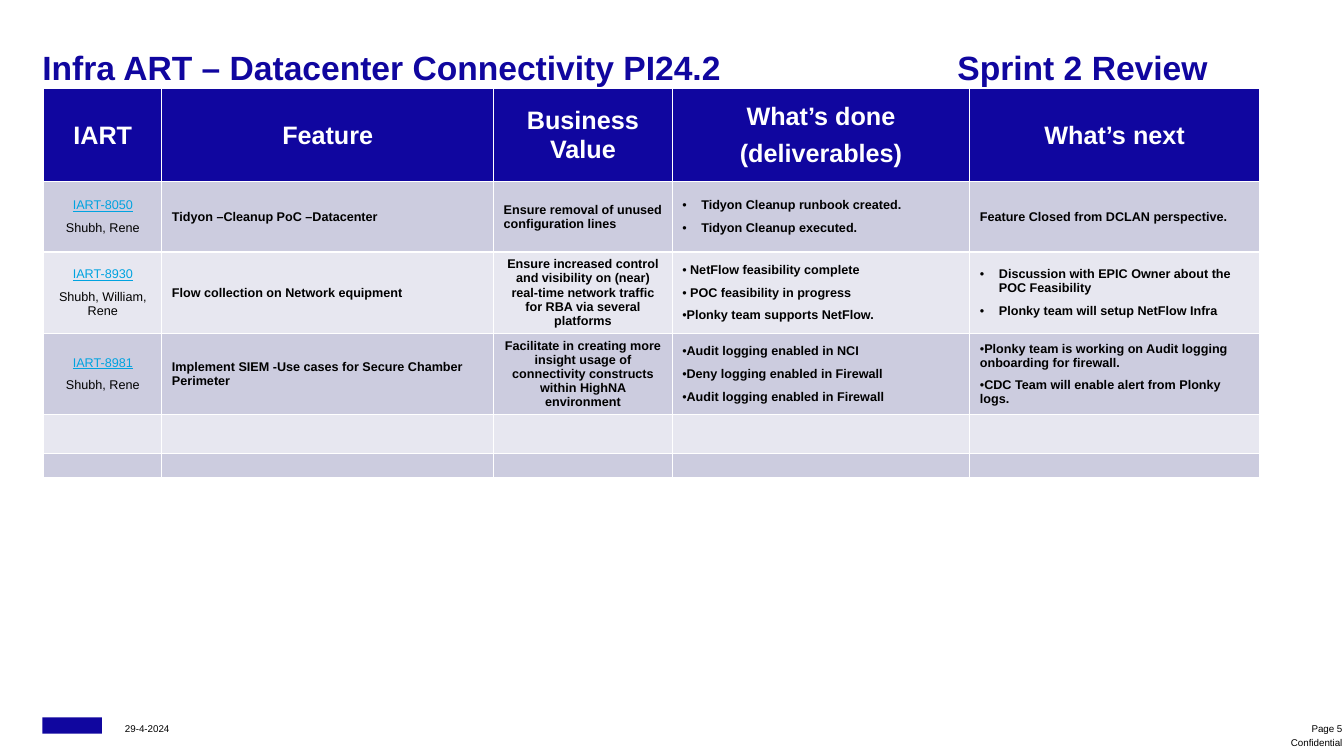
import pptx
import pptx.util
import pptx.dml.color
import pptx.enum.shapes
import pptx.enum.text
import pptx.oxml.xmlchemy
from lxml import etree

Cm, Pt = pptx.util.Cm, pptx.util.Pt
RGBColor = pptx.dml.color.RGBColor
ALIGN = pptx.enum.text.PP_ALIGN
ANCHOR = pptx.enum.text.MSO_ANCHOR
NAVY = RGBColor(0x10, 0x06, 0x9F)
LINK_BLUE = RGBColor(0x00, 0xA3, 0xE0)
BAND_DARK = RGBColor(0xCC, 0xCC, 0xDF)
BAND_LIGHT = RGBColor(0xE7, 0xE7, 0xF0)
WHITE = RGBColor(0xFF, 0xFF, 0xFF)
BLACK = RGBColor(0x00, 0x00, 0x00)
DRAWING_NS = "{http://schemas.openxmlformats.org/drawingml/2006/main}"


def write(paragraph, text, size, color, bold=False, align=ALIGN.LEFT):
    paragraph.text = text
    paragraph.alignment = align
    for run in paragraph.runs:
        run.font.name = "Arial"
        run.font.size = Pt(size)
        run.font.bold = bold
        run.font.color.rgb = color


def add_label(left, top, width, height, anchor):
    """Add an empty text box without insets and return its first paragraph."""
    frame = slide.shapes.add_textbox(Cm(left), Cm(top), Cm(width), Cm(height)).text_frame
    frame.margin_left = frame.margin_top = frame.margin_right = frame.margin_bottom = 0
    frame.word_wrap = True
    frame.vertical_anchor = anchor
    return frame.paragraphs[0]


deck = pptx.Presentation()
deck.slide_width, deck.slide_height = Cm(33.87), Cm(19.05)
slide = deck.slides.add_slide(deck.slide_layouts[6])

# Footer
logo_block = slide.shapes.add_shape(pptx.enum.shapes.MSO_SHAPE.RECTANGLE,
                                    Cm(1.07), Cm(18.08), Cm(1.5), Cm(0.41))
logo_block.shadow.inherit = False
logo_block.fill.solid()
logo_block.fill.fore_color.rgb = NAVY
logo_block.line.fill.background()

for text, left, top, width, align in (
    ("29-4-2024", 3.15, 18.11, 3, ALIGN.LEFT),
    ("Page 5", 31.73, 18.11, 2.1, ALIGN.RIGHT),
    ("Confidential", 31.73, 18.47, 2.1, ALIGN.RIGHT),
):
    write(add_label(left, top, width, 0.4, ANCHOR.BOTTOM), text, 7, BLACK, align=align)

# Title, with the sprint name on a tab stop
title = add_label(1.07, 1.19, 30.18, 1.04, ANCHOR.TOP)
write(title, "Infra ART – Datacenter Connectivity PI24.2\tSprint 2 Review", 24, NAVY, bold=True)
tab_stops = etree.SubElement(title._p.get_or_add_pPr(), DRAWING_NS + "tabLst")
etree.SubElement(tab_stops, DRAWING_NS + "tab", pos=str(Cm(23.06)), algn="l")

# Feature table
HEADINGS = ["IART", "Feature", "Business Value", "What’s done\n(deliverables)", "What’s next"]
FEATURES = [
    ["IART-8050\nShubh, Rene",
     "Tidyon –Cleanup PoC –Datacenter",
     "Ensure removal of unused configuration lines",
     "Tidyon Cleanup runbook created.\nTidyon Cleanup executed.",
     "Feature Closed from DCLAN perspective."],
    ["IART-8930\nShubh, William, Rene",
     "Flow collection on Network equipment",
     "Ensure increased control and visibility on (near) real-time network traffic "
     "for RBA via several platforms",
     " NetFlow feasibility complete\n POC feasibility in progress\nPlonky team supports NetFlow.",
     "Discussion with EPIC Owner about the POC Feasibility\n"
     "Plonky team will setup NetFlow Infra"],
    ["IART-8981\nShubh, Rene",
     "Implement SIEM -Use cases for Secure Chamber Perimeter",
     "Facilitate in creating more insight usage of connectivity constructs "
     "within HighNA environment",
     "Audit logging enabled in NCI\nDeny logging enabled in Firewall\n"
     "Audit logging enabled in Firewall",
     "Plonky team is working on Audit logging onboarding for firewall.\n"
     "CDC Team will enable alert from Plonky logs."],
    [""] * 5,
    [""] * 5,
]
# Bullet indent in cm by (row, column)
BULLET_INDENTS = {(1, 3): 0.48, (2, 3): 0, (2, 4): 0.48, (3, 3): 0, (3, 4): 0}
CENTERED_VALUES = {(2, 2), (3, 2)}
COLUMN_WIDTHS = [2.98, 8.36, 4.5, 7.5, 7.3]
ROW_HEIGHTS = [2.34, 1.77, 2.03, 2.04, 0.97, 0.61]

table = slide.shapes.add_table(
    len(ROW_HEIGHTS), len(COLUMN_WIDTHS), Cm(1.1), Cm(2.24),
    Cm(sum(COLUMN_WIDTHS)), Cm(sum(ROW_HEIGHTS))).table
for column, width in zip(table.columns, COLUMN_WIDTHS):
    column.width = Cm(width)
for row, height in zip(table.rows, ROW_HEIGHTS):
    row.height = Cm(height)

for r, entries in enumerate([HEADINGS] + FEATURES):
    for c, entry in enumerate(entries):
        cell = table.cell(r, c)
        cell.vertical_anchor = ANCHOR.MIDDLE
        cell.margin_top = cell.margin_bottom = Cm(0.07)
        cell.fill.solid()
        cell.fill.fore_color.rgb = NAVY if r == 0 else BAND_DARK if r % 2 else BAND_LIGHT
        centered = r == 0 or c == 0 or (r, c) in CENTERED_VALUES
        cell.text_frame.text = entry
        for i, paragraph in enumerate(cell.text_frame.paragraphs):
            is_link = r > 0 and c == 0 and i == 0
            write(paragraph, paragraph.text, 9 if r else 18,
                  WHITE if r == 0 else LINK_BLUE if is_link else BLACK,
                  bold=r == 0 or c > 0, align=ALIGN.CENTER if centered else ALIGN.LEFT)
            paragraph.space_after = Pt(6)
            for run in paragraph.runs:
                run.font.underline = is_link
            if not entry:
                etree.SubElement(paragraph._p, DRAWING_NS + "endParaRPr", sz="900")
            if (r, c) in BULLET_INDENTS:
                indent = Cm(BULLET_INDENTS[r, c])
                properties = paragraph._p.get_or_add_pPr()
                properties.set("marL", str(indent))
                properties.set("indent", str(-indent))
                etree.SubElement(properties, DRAWING_NS + "buFont", typeface="Arial")
                etree.SubElement(properties, DRAWING_NS + "buChar", char="•")

deck.save("out.pptx")
